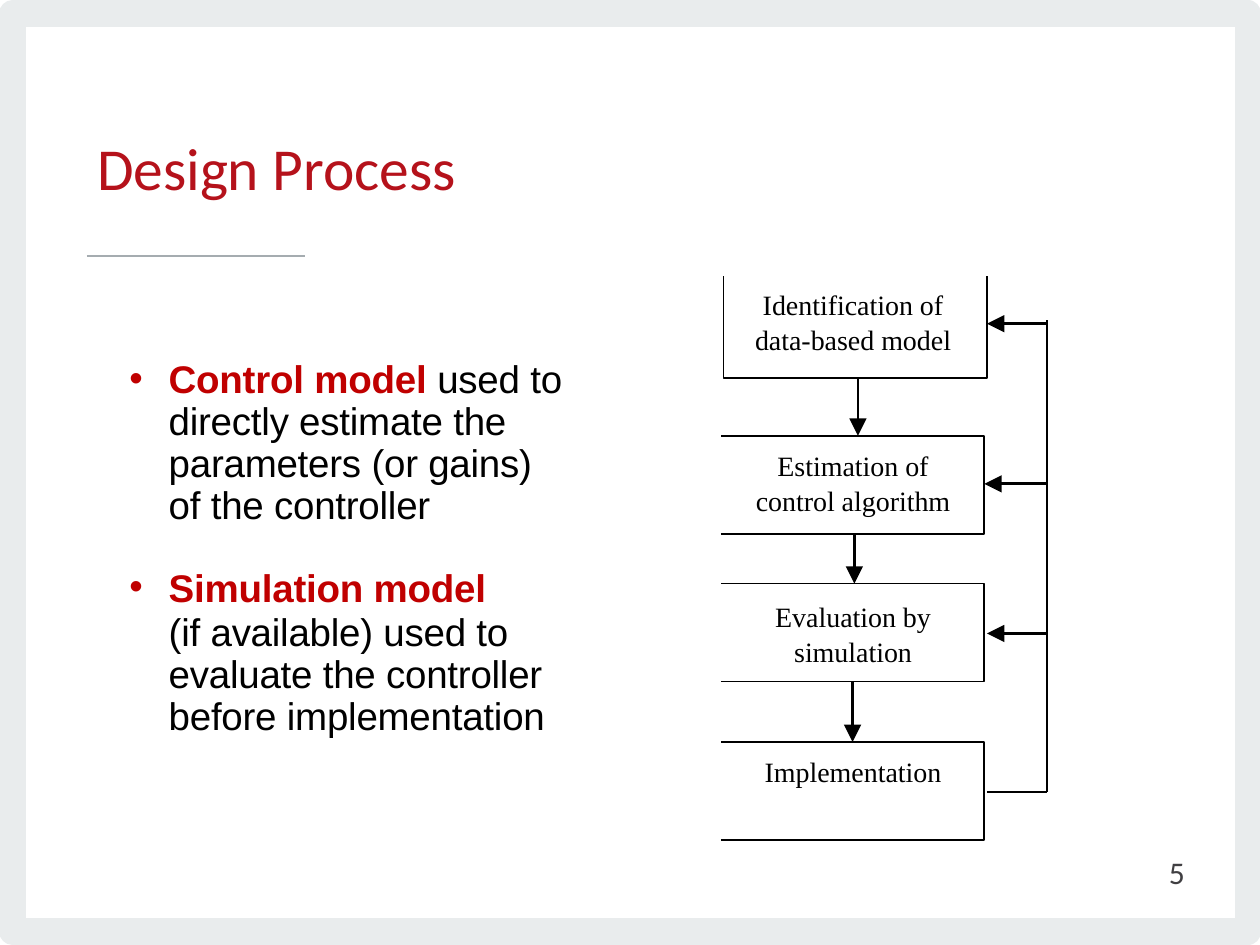
from lxml import etree
from pptx import Presentation
from pptx.dml.color import RGBColor
from pptx.enum.shapes import MSO_CONNECTOR, MSO_SHAPE
from pptx.enum.text import PP_ALIGN
from pptx.oxml.ns import qn
from pptx.util import Pt

STRAIGHT, RECTANGLE = MSO_CONNECTOR.STRAIGHT, MSO_SHAPE.RECTANGLE
LEFT, CENTER = PP_ALIGN.LEFT, PP_ALIGN.CENTER

BLACK = RGBColor(0, 0, 0)
WHITE = RGBColor(0xFF, 0xFF, 0xFF)
FRAME = RGBColor(0xE9, 0xEC, 0xED)
RULE = RGBColor(0xA5, 0xAC, 0xB0)
TITLE_RED = RGBColor(0xB5, 0x12, 0x1B)
KEY_RED = RGBColor(0xC0, 0, 0)
NUMBER_GREY = RGBColor(0x40, 0x3F, 0x42)

TITLE = "Design Process"
SLIDE_NUMBER = "5"

# Runs as (text, is key term), bulleted, line spacing, space before
BODY = [
    ([("Control model ", True),
      ("used to directly estimate the parameters (or gains) of the controller", False)],
     True, 24, 0),
    ([("Simulation model", True)], True, 25.2, 22),
    ([("(if available) used to evaluate the controller before implementation", False)],
     False, 24, 1.6),
]

# Label, text top, box top, box bottom
STEPS = [
    ("Identification of data-based model", 163.5, 158, 216),
    ("Estimation of control algorithm", 255.5, 249, 305),
    ("Evaluation by simulation", 341.5, 333.5, 389.5),
    ("Implementation", 430.5, 424, 480),
]
BOX_LEFT, BOX_W, FIRST_SHIFT = 412, 150.5, 1.5
LABEL_LEFT, LABEL_W = 429, 117
DOWN_X = [490.3, 488.2, 487.2]
FEEDBACK = [(564, 185), (562.5, 276.5), (564, 362)]  # arrow tips
SPINE_X, SPINE_TOP, SPINE_BOTTOM = 598.5, 183, 452.5
THIN, THICK = 1, 1.6


def add_text(s, x, y, w, h):
    tf = s.shapes.add_textbox(Pt(x), Pt(y), Pt(w), Pt(h)).text_frame
    tf.word_wrap = True
    tf.margin_left = tf.margin_top = tf.margin_right = tf.margin_bottom = 0
    return tf


def add_run(p, text, font, size, color, bold=False):
    r = p.add_run()
    r.text = text
    r.font.name, r.font.size, r.font.bold = font, Pt(size), bold
    r.font.color.rgb = color
    return r


def add_label(s, text, x, y, w, h, font, size, color, align=LEFT, spacing=1.0):
    p = add_text(s, x, y, w, h).paragraphs[0]
    p.alignment, p.line_spacing = align, spacing
    add_run(p, text, font, size, color)


def add_bullet(p):
    pPr = p._p.get_or_add_pPr()
    pPr.set("indent", str(-Pt(22.5)))
    clr = etree.SubElement(pPr, qn("a:buClr"))
    etree.SubElement(clr, qn("a:srgbClr"), val=str(KEY_RED))
    etree.SubElement(pPr, qn("a:buFont"), typeface="Arial")
    etree.SubElement(pPr, qn("a:buChar"), char="•")


def add_line(s, x1, y1, x2, y2, width, color=BLACK, arrow=False):
    c = s.shapes.add_connector(STRAIGHT, Pt(x1), Pt(y1), Pt(x2), Pt(y2))
    c.line.color.rgb, c.line.width = color, Pt(width)
    if arrow:
        etree.SubElement(c.line._get_or_add_ln(), qn("a:tailEnd"),
                         type="triangle", w="lg", len="lg")
    etree.SubElement(c._element.spPr, qn("a:effectLst"))


def add_open_box(s, points):
    start, *rest = [(Pt(x), Pt(y)) for x, y in points]
    builder = s.shapes.build_freeform(*start, scale=1.0)
    builder.add_line_segments(rest, close=False)
    sp = builder.convert_to_shape()
    sp.shadow.inherit = False
    sp.fill.solid()
    sp.fill.fore_color.rgb = WHITE
    sp.line.color.rgb, sp.line.width = BLACK, Pt(THIN)


prs = Presentation()
prs.slide_width, prs.slide_height = Pt(720), Pt(540)
s = prs.slides.add_slide(prs.slide_layouts[6])

# Frame, title and rule
frame = s.shapes.add_shape(RECTANGLE, Pt(7.2), Pt(7.8), Pt(706), Pt(524.5))
frame.shadow.inherit = False
frame.fill.background()
frame.line.color.rgb, frame.line.width = FRAME, Pt(15.2)
etree.SubElement(frame.line._get_or_add_ln(), qn("a:round"))
add_line(s, 49.7, 146.3, 174.3, 146.3, 1.4, RULE)
add_label(s, TITLE, 55.5, 75, 600, 55, "Calibri", 34, TITLE_RED)

# Bulleted body
tf = add_text(s, 72.7, 205.2, 254, 216)
for i, (runs, bulleted, spacing, before) in enumerate(BODY):
    p = tf.paragraphs[0] if i == 0 else tf.add_paragraph()
    p._p.get_or_add_pPr().set("marL", str(Pt(23.7)))
    p.line_spacing, p.space_before = Pt(spacing), Pt(before)
    if bulleted:
        add_bullet(p)
    for text, key in runs:
        r = add_run(p, text, "Arial", 22, KEY_RED if key else BLACK, key)
        r.font._element.set("spc", "-10")

# Step boxes: the first is open at the top, the others at the left
for i, (label, text_top, top, bottom) in enumerate(STEPS):
    left = BOX_LEFT + (FIRST_SHIFT if i == 0 else 0)
    right = left + BOX_W
    corners = [(left, bottom), (right, bottom), (right, top), (left, top)]
    add_open_box(s, corners[-1:] + corners[:-1] if i == 0 else corners)
    add_label(s, label, LABEL_LEFT, text_top, LABEL_W, 38,
              "Times New Roman", 16, BLACK, CENTER, 1.05)

# Arrows between steps
for x, above, below in zip(DOWN_X, STEPS, STEPS[1:]):
    add_line(s, x, above[3], x, below[2], THICK, arrow=True)

# Feedback loop
add_line(s, BOX_LEFT + BOX_W + FIRST_SHIFT, SPINE_BOTTOM, SPINE_X, SPINE_BOTTOM, THIN)
add_line(s, SPINE_X, SPINE_BOTTOM, SPINE_X, SPINE_TOP, THIN)
for x, y in FEEDBACK:
    add_line(s, SPINE_X, y, x, y, THICK, arrow=True)

# Slide number
add_label(s, SLIDE_NUMBER, 668, 487.5, 20, 22, "Calibri", 18, NUMBER_GREY)

prs.save("out.pptx")
